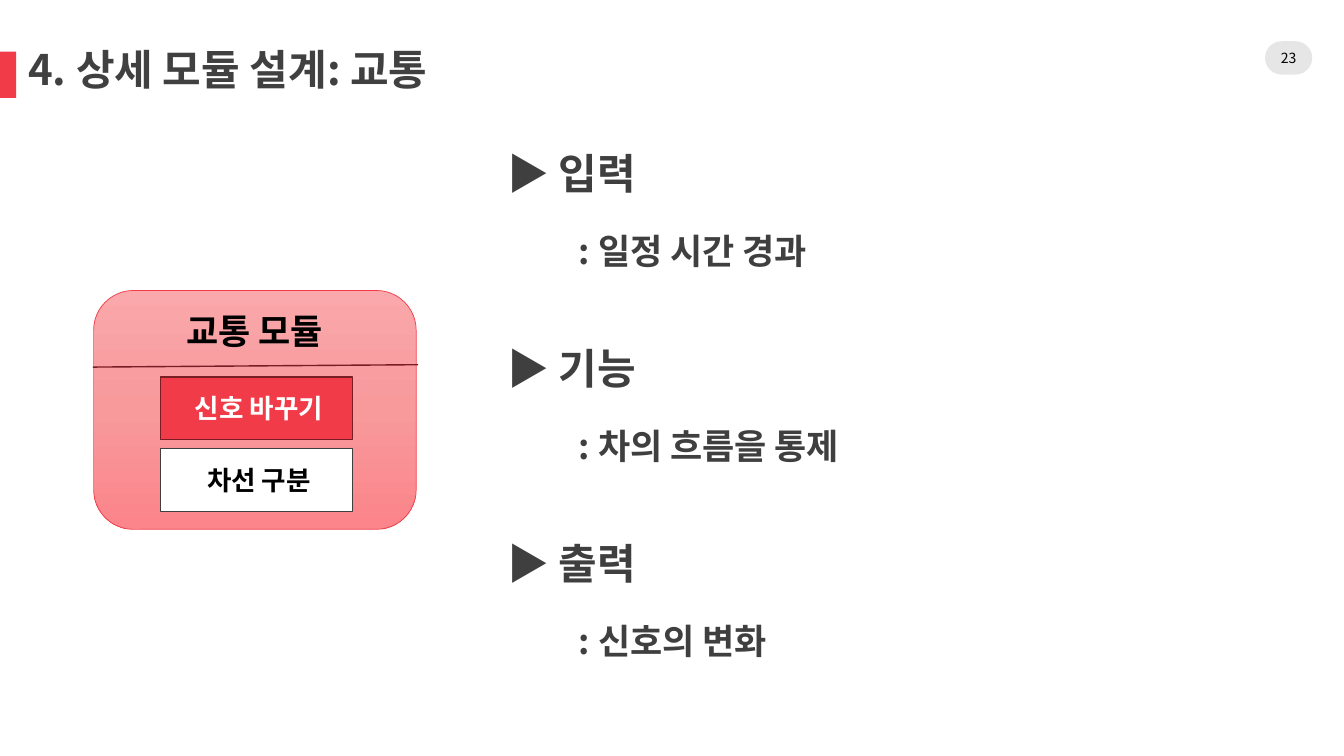
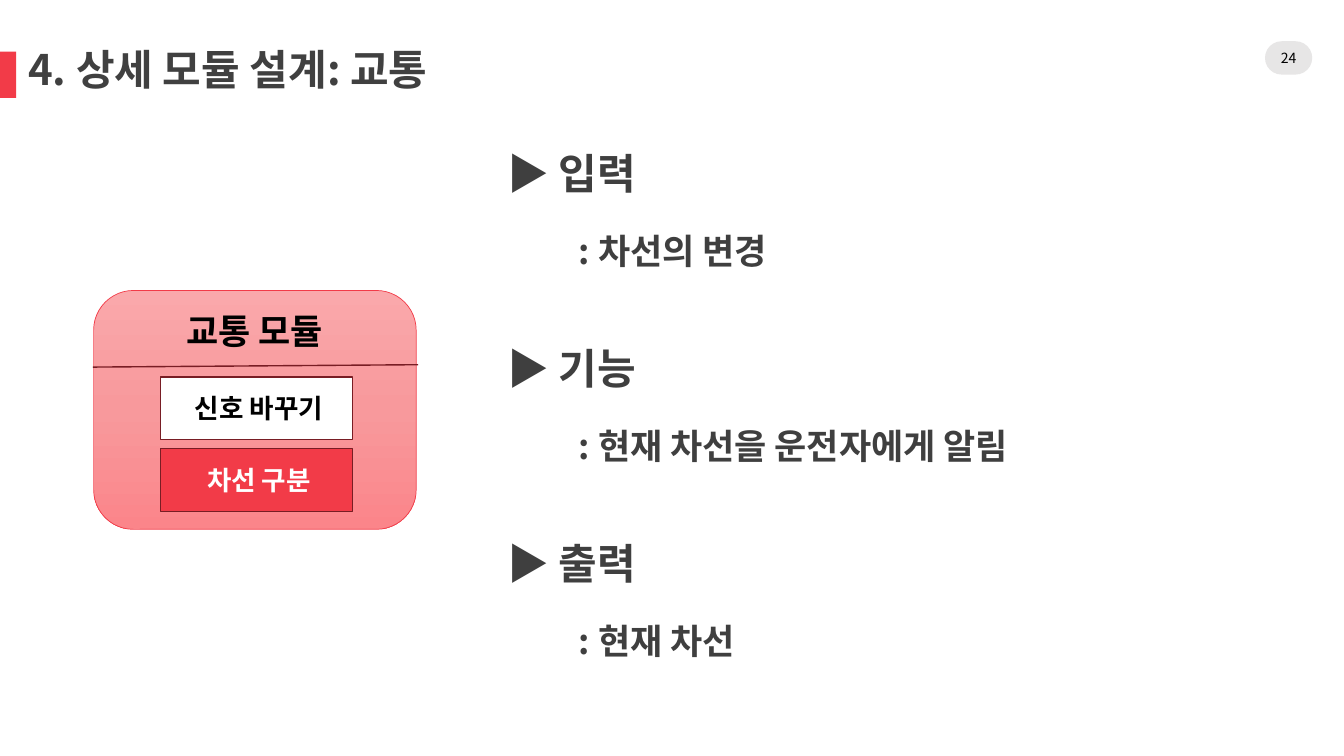
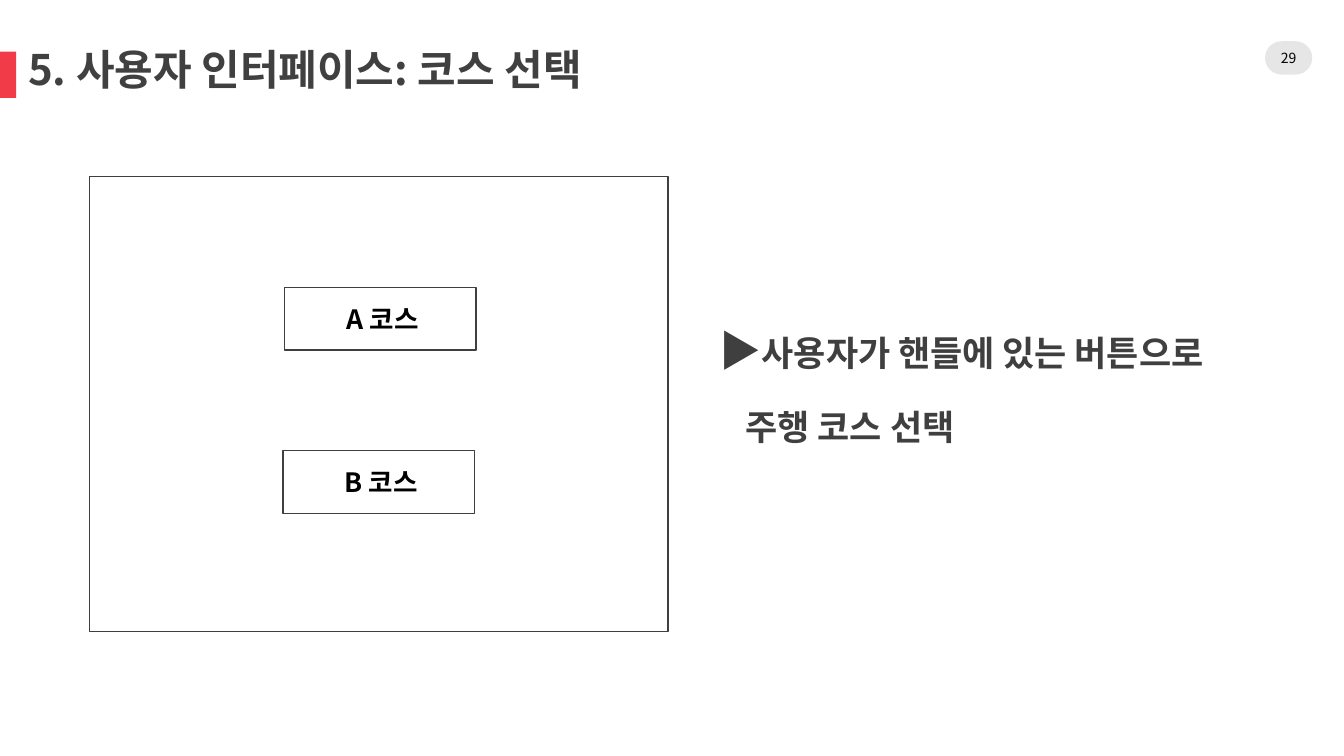
from copy import deepcopy
from dataclasses import dataclass

from lxml import etree
from pptx import Presentation
from pptx.dml.color import RGBColor
from pptx.enum.shapes import MSO_CONNECTOR, MSO_SHAPE
from pptx.enum.text import MSO_ANCHOR, MSO_AUTO_SIZE, PP_ALIGN
from pptx.oxml.ns import qn
from pptx.util import Cm, Pt

RECT = MSO_SHAPE.RECTANGLE
ROUND = MSO_SHAPE.ROUNDED_RECTANGLE
STRAIGHT = MSO_CONNECTOR.STRAIGHT
TOP, MIDDLE = MSO_ANCHOR.TOP, MSO_ANCHOR.MIDDLE
LEFT, CENTER = PP_ALIGN.LEFT, PP_ALIGN.CENTER
NO_FIT = MSO_AUTO_SIZE.NONE
TITLE_AND_CONTENT = 1


@dataclass(frozen=True)
class Theme:
    font: str = "Noto Sans CJK KR"
    red: str = "F23B48"
    dark_red: str = "781D24"
    card: tuple = ("FAA8AB", "F8999C", "FB858A")
    grey: str = "E7E6E6"
    title: str = "404040"
    text: str = "3F3F3F"
    black: str = "000000"
    white: str = "FFFFFF"
    heading_size: float = 30
    body_size: float = 25
    button_size: float = 19
    page_size: float = 10
    heading_line: float = 66
    body_line: float = 52.2
    heading_gap: float = 21


def rgb(color):
    return RGBColor.from_string(color)


class Deck:
    def __init__(self, theme):
        self.theme = theme
        self.prs = Presentation()
        self.prs.slide_width, self.prs.slide_height = Cm(33.87), Cm(19.05)
        self.slide = None

    def new_slide(self, title, page):
        t = self.theme
        layout = self.prs.slide_layouts[TITLE_AND_CONTENT]
        self.slide = self.prs.slides.add_slide(layout)
        self.box(RECT, (0, 1.3, 0.41, 1.17), t.red)
        pill = self.box(ROUND, (31.88, 1.04, 1.19, 0.84), t.grey)
        pill.adjustments[0] = 0.5
        self.label(pill, page, t.page_size, t.black, bold=False)

        sp = self.slide.shapes.title
        self.place(sp, (0.71, 1.24, 21.56, 1.17))
        self.label(sp, title, t.heading_size, t.title, align=LEFT)
        sp.text_frame.paragraphs[0].line_spacing = 0.9

    def place(self, sp, at):
        sp.left, sp.top, sp.width, sp.height = (Cm(v) for v in at)

    def frame(self, sp, anchor, inset_left=0, inset_top=0):
        tf = sp.text_frame
        tf.word_wrap, tf.auto_size = True, NO_FIT
        tf.vertical_anchor = anchor
        tf.margin_left, tf.margin_top = Cm(inset_left), Cm(inset_top)
        tf.margin_right = tf.margin_bottom = 0
        return tf

    def style(self, r, size, color, bold=True):
        f = r.font
        f.name, f.size, f.bold = self.theme.font, Pt(size), bold
        f.color.rgb = rgb(color)
        ea = etree.Element(qn("a:ea"), typeface=self.theme.font)
        r._r.get_or_add_rPr().find(qn("a:latin")).addnext(ea)

    def label(self, sp, text, size, color, bold=True, align=CENTER,
              anchor=MIDDLE, inset_left=0, inset_top=0):
        tf = self.frame(sp, anchor, inset_left, inset_top)
        tf.text = text
        p = tf.paragraphs[0]
        p.alignment = align
        self.style(p.runs[0], size, color, bold)

    def box(self, kind, at, fill=None, line=None, weight=1):
        sp = self.slide.shapes.add_shape(kind, *(Cm(v) for v in at))
        sp.shadow.inherit = False
        if fill:
            sp.fill.solid()
            sp.fill.fore_color.rgb = rgb(fill)
        if line:
            sp.line.color.rgb = rgb(line)
            sp.line.width = Pt(weight)
        else:
            sp.line.fill.background()
        return sp

    def gradient(self, sp, colors):
        """Fill downwards through three evenly spaced colours."""
        sp.fill.gradient()
        sp.fill.gradient_angle = 270
        first = sp._element.spPr.find(".//" + qn("a:gs"))
        first.addnext(deepcopy(first))
        for i, (stop, color) in enumerate(zip(sp.fill.gradient_stops, colors)):
            stop.position = i / 2
            stop.color.rgb = rgb(color)

    def line(self, start, end, color):
        cx = self.slide.shapes.add_connector(
            STRAIGHT, *(Cm(v) for v in start + end))
        cx.line.color.rgb = rgb(color)
        cx.line.width = Pt(1)
        etree.SubElement(cx._element.spPr, qn("a:effectLst"))

    def button(self, text, left, top, line, active=False):
        t = self.theme
        sp = self.box(RECT, (left, top, 4.83, 1.58),
                      t.red if active else t.white, line)
        self.label(sp, text, t.button_size, t.white if active else t.black,
                   inset_left=0.12)

    def body(self, at, paragraphs):
        """Fill the body with (pieces, is_heading, indent) paragraphs."""
        t = self.theme
        sp = self.slide.placeholders[1]
        self.place(sp, at)
        tf = self.frame(sp, TOP)
        for i, (pieces, is_heading, indent) in enumerate(paragraphs):
            p = tf.add_paragraph() if i else tf.paragraphs[0]
            p.line_spacing = Pt(t.heading_line if is_heading else t.body_line)
            p.space_before = Pt(t.heading_gap if i and is_heading else 0)
            pPr = p._p.get_or_add_pPr()
            pPr.set("marL", str(Cm(indent)))
            pPr.set("indent", "0")
            etree.SubElement(pPr, qn("a:buNone"))
            for text, size in pieces:
                r = p.add_run()
                r.text = text
                self.style(r, size, t.text)

    def module_card(self, active, second_line):
        t = self.theme
        card = self.box(ROUND, (2.36, 7.32, 8.13, 6.02), line=t.red, weight=0.5)
        self.gradient(card, t.card)
        self.label(card, "교통 모듈", t.body_size, t.black, anchor=TOP,
                   inset_top=0.19)
        self.line((2.34, 9.25), (10.54, 9.19), t.dark_red)
        names = ("신호 바꾸기", "차선 구분")
        for i, (name, line) in enumerate(zip(names, (t.dark_red, second_line))):
            self.button(name, 4.05, 9.5 + 1.81 * i, line, name == active)

    def module_slide(self, page, active, second_line, details):
        t = self.theme
        self.new_slide("4. 상세 모듈 설계: 교통", page)
        paragraphs = []
        for heading, detail in zip(("입력", "기능", "출력"), details):
            paragraphs += [
                ([("▶ " + heading, t.heading_size)], True, 0),
                ([(": " + detail, t.body_size)], False, 1.81),
            ]
        self.body((12.78, 2.67, 19.53, 14.5), paragraphs)
        self.module_card(active, second_line)

    def course_slide(self, page):
        t = self.theme
        self.new_slide("5. 사용자 인터페이스: 코스 선택", page)
        self.box(RECT, (2.26, 4.45, 14.58, 11.46), t.white, t.text)
        self.button("A 코스", 7.17, 7.24, t.text)
        self.button("B 코스", 7.13, 11.36, t.text)
        self.body((18.14, 7.11, 15.73, 5.08), [
            ([("▶", t.heading_size),
              ("사용자가 핸들에 있는 버튼으로", t.body_size)], True, 0),
            ([("주행 코스 선택", t.body_size)], False, 0.65),
        ])


def main():
    theme = Theme()
    deck = Deck(theme)
    deck.module_slide("23", "신호 바꾸기", theme.text,
                      ("일정 시간 경과", "차의 흐름을 통제", "신호의 변화"))
    deck.module_slide("24", "차선 구분", theme.dark_red,
                      ("차선의 변경", "현재 차선을 운전자에게 알림", "현재 차선"))
    deck.course_slide("29")
    deck.prs.save("out.pptx")


if __name__ == "__main__":
    main()
